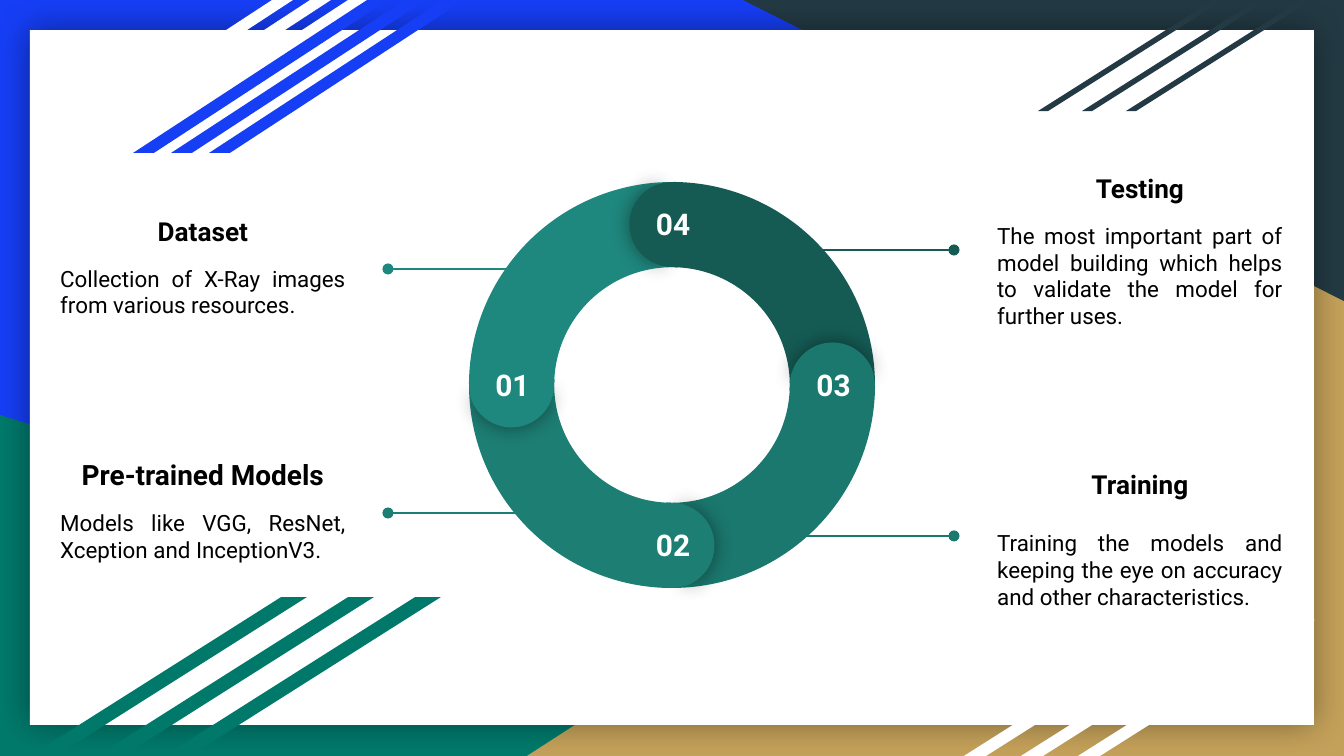
import math
from dataclasses import dataclass

import pptx
import pptx.dml.color
import pptx.enum.shapes
import pptx.enum.text
import pptx.oxml.ns
import pptx.util
from lxml import etree

SHAPE = pptx.enum.shapes.MSO_SHAPE
ALIGN = pptx.enum.text.PP_ALIGN
ANCHOR = pptx.enum.text.MSO_ANCHOR
EMU_PER_PX = 914400 / 134.4


@dataclass(frozen=True)
class Theme:
    font: str = "Roboto"
    blue: str = "163EF5"
    green: str = "00796B"
    gold: str = "C4A15A"
    slate: str = "233A44"
    white: str = "FFFFFF"
    black: str = "000000"
    dataset: str = "1F887E"
    models: str = "1D7E74"
    training: str = "1B786E"
    testing: str = "155B54"
    number_size: int = 16
    heading_size: int = 14
    large_heading_size: int = 15
    body_size: int = 12
    line_width: float = 0.75


THEME = Theme()

RING_CENTRE = (672, 385)
RING_SIZE = 406
CAP_SIZE = 85
ARC_ADJUSTMENTS = (126.22, 181.76, 0.21)
CAP_ADJUSTMENTS = (61.9, 149.96)
COVER_ADJUSTMENTS = (40.28, 171.84)

STRIPE_GROUPS = [
    (38, 0, 255, 153, 38, 1.53, THEME.white),
    (133, 0, 255, 153, 38, 1.53, THEME.blue),
    (1038, 1, 184, 110, 44, 1.58, THEME.slate),
    (964, 620, 237, 136, 57, 1.58, THEME.white),
    (30, 597, 277, 159, 67, 1.58, THEME.green),
]

RING_STAGES = [
    ("02", 180, THEME.models),
    ("01", 270, THEME.dataset),
    ("04", 0, THEME.testing),
    ("03", 90, THEME.training),
]

CALLOUTS = [
    ("Dataset", "Collection of X-Ray images from various resources.",
     (47, 172), THEME.heading_size, 9.5, (542, 388, 269), THEME.dataset),
    ("Pre-trained Models", "Models like VGG, ResNet, Xception and InceptionV3.",
     (47, 415), THEME.large_heading_size, 9.5, (581, 388, 513), THEME.models),
    ("Testing", "The most important part of model building which helps "
     "to validate the model for further uses.",
     (984, 156), THEME.heading_size, 9.5, (766, 954, 250), THEME.testing),
    ("Training", "Training the models and keeping the eye on accuracy "
     "and other characteristics.",
     (984, 444), THEME.heading_size, 16, (766, 954, 536), THEME.training),
]


def px(value):
    return pptx.util.Emu(round(value * EMU_PER_PX))


def rgb(value):
    return pptx.dml.color.RGBColor.from_string(value)


def add_child(parent, tag, **attributes):
    child = etree.SubElement(parent, pptx.oxml.ns.qn(tag))
    for name, value in attributes.items():
        child.set(name, str(value))
    return child


def add_glow_shadow(shape, blur, opacity):
    effects = shape.element.spPr.find(pptx.oxml.ns.qn("a:effectLst"))
    shadow = add_child(effects, "a:outerShdw", blurRad=pptx.util.Pt(blur),
                       dist=0, dir=0, algn="ctr", rotWithShape=0)
    color = add_child(shadow, "a:srgbClr", val=THEME.black)
    add_child(color, "a:alpha", val=opacity * 1000)


def add_filled_shape(slide, kind, bounds, color, rotation=0, adjustments=()):
    shape = slide.shapes.add_shape(kind, *map(px, bounds))
    shape.rotation = rotation
    shape.fill.solid()
    shape.fill.fore_color.rgb = rgb(color)
    shape.line.fill.background()
    shape.shadow.inherit = False
    for index, value in enumerate(adjustments):
        shape.adjustments[index] = value
    return shape


def add_backdrop(slide):
    slide.background.fill.solid()
    slide.background.fill.fore_color.rgb = rgb(THEME.blue)
    add_filled_shape(slide, SHAPE.RIGHT_TRIANGLE, (0, 415, 1083, 341), THEME.green)
    gold = add_filled_shape(slide, SHAPE.RIGHT_TRIANGLE, (527, 228, 817, 528), THEME.gold)
    gold.element.spPr.xfrm.set("flipH", "1")
    add_filled_shape(slide, SHAPE.RIGHT_TRIANGLE, (743, 0, 601, 301), THEME.slate, 180)
    panel = add_filled_shape(slide, SHAPE.RECTANGLE, (30, 30, 1284, 695), THEME.white)
    add_glow_shadow(panel, 18, 40)


def add_stripes(slide, left, top, width, height, step, slant, color):
    for index in range(3):
        add_filled_shape(slide, SHAPE.PARALLELOGRAM,
                         (left + index * step, top, width, height), color,
                         adjustments=(slant,))


def add_text_box(slide, bounds, anchor):
    box = slide.shapes.add_textbox(*map(px, bounds))
    frame = box.text_frame
    frame.word_wrap = True
    frame.vertical_anchor = anchor
    frame.margin_left = frame.margin_right = pptx.util.Inches(0.1)
    frame.margin_top = frame.margin_bottom = pptx.util.Inches(0.1)
    return frame


def write_paragraph(para, text, size, color, bold, alignment):
    para.text = text
    para.alignment = alignment
    for span in para.runs:
        span.font.name = THEME.font
        span.font.size = pptx.util.Pt(size)
        span.font.bold = bold
        span.font.color.rgb = rgb(color)


def add_arc(slide, angle, color):
    center_x, center_y = RING_CENTRE
    half = RING_SIZE / 2
    add_filled_shape(slide, SHAPE.BLOCK_ARC,
                     (center_x - half, center_y - half, RING_SIZE, RING_SIZE),
                     color, (angle + 60) % 360, ARC_ADJUSTMENTS)


def add_numbered_cap(slide, number, angle, color):
    radius = (RING_SIZE - CAP_SIZE) / 2
    center_x = RING_CENTRE[0] + radius * math.sin(math.radians(angle))
    center_y = RING_CENTRE[1] - radius * math.cos(math.radians(angle))
    half = CAP_SIZE / 2
    bounds = (center_x - half, center_y - half, CAP_SIZE, CAP_SIZE)
    cap = add_filled_shape(slide, SHAPE.PIE, bounds, color, angle, CAP_ADJUSTMENTS)
    add_glow_shadow(cap, 11.2, 43)
    add_filled_shape(slide, SHAPE.PIE, bounds, color, (angle + 180) % 360, COVER_ADJUSTMENTS)
    frame = add_text_box(slide, (center_x - 36, center_y - 32, 74, 39), ANCHOR.TOP)
    write_paragraph(frame.paragraphs[0], number, THEME.number_size,
                    THEME.white, True, ALIGN.CENTER)


def add_leader(slide, start_x, end_x, y, color):
    leader = slide.shapes.add_connector(pptx.enum.shapes.MSO_CONNECTOR.STRAIGHT,
                                        px(start_x), px(y), px(end_x), px(y))
    leader.line.color.rgb = rgb(color)
    leader.line.width = pptx.util.Pt(THEME.line_width)
    add_child(leader.line._get_or_add_ln(), "a:tailEnd", type="oval")
    add_child(leader.element.spPr, "a:effectLst")


def add_callout(slide, heading, body, position, heading_size, gap, leader, color):
    frame = add_text_box(slide, (*position, 312, 190), ANCHOR.MIDDLE)
    write_paragraph(frame.paragraphs[0], heading, heading_size,
                    THEME.black, True, ALIGN.CENTER)
    para = frame.add_paragraph()
    write_paragraph(para, body, THEME.body_size, THEME.black, False, ALIGN.JUSTIFY)
    para.space_before = pptx.util.Pt(gap)
    add_leader(slide, *leader, color)


def main():
    deck = pptx.Presentation()
    deck.slide_width, deck.slide_height = px(1344), px(756)
    slide = deck.slides.add_slide(deck.slide_layouts[6])
    add_backdrop(slide)
    for group in STRIPE_GROUPS:
        add_stripes(slide, *group)
    for _, angle, color in RING_STAGES:
        add_arc(slide, angle, color)
    for stage in RING_STAGES:
        add_numbered_cap(slide, *stage)
    for callout in CALLOUTS:
        add_callout(slide, *callout)
    deck.save("out.pptx")


if __name__ == "__main__":
    main()
